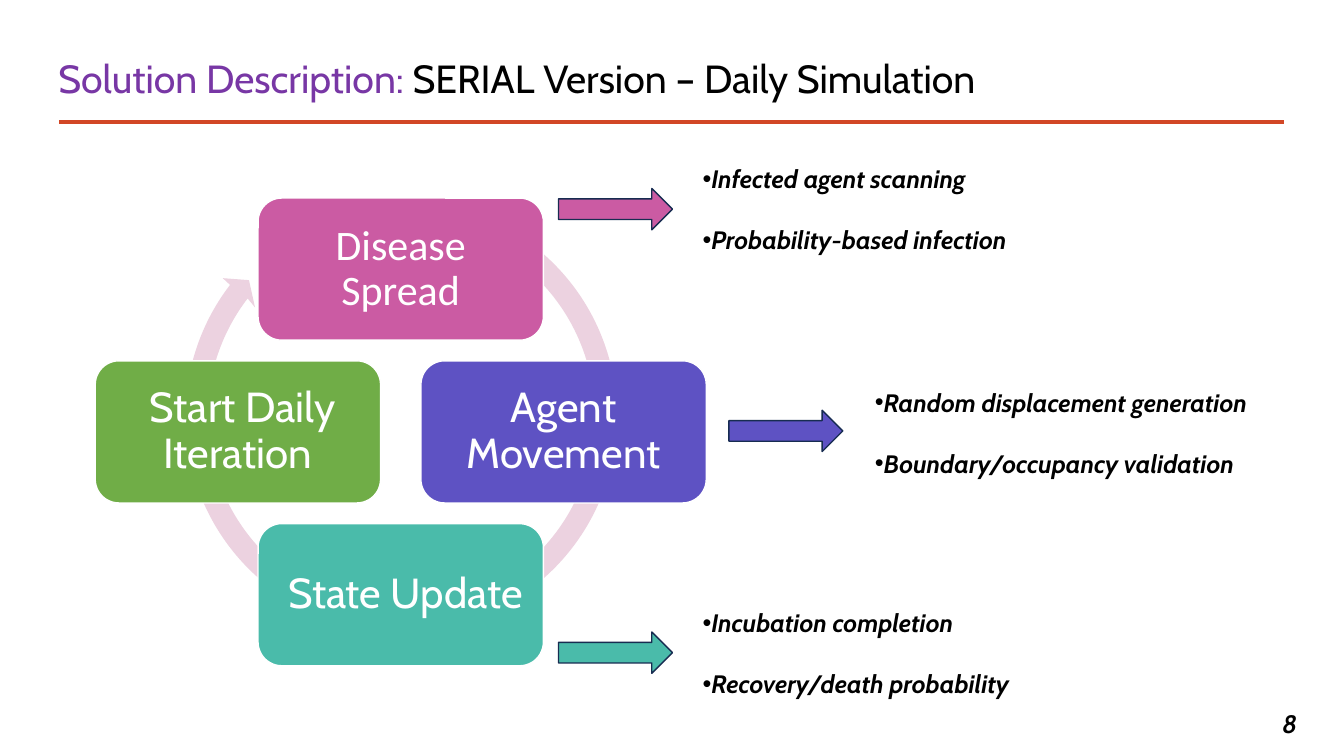
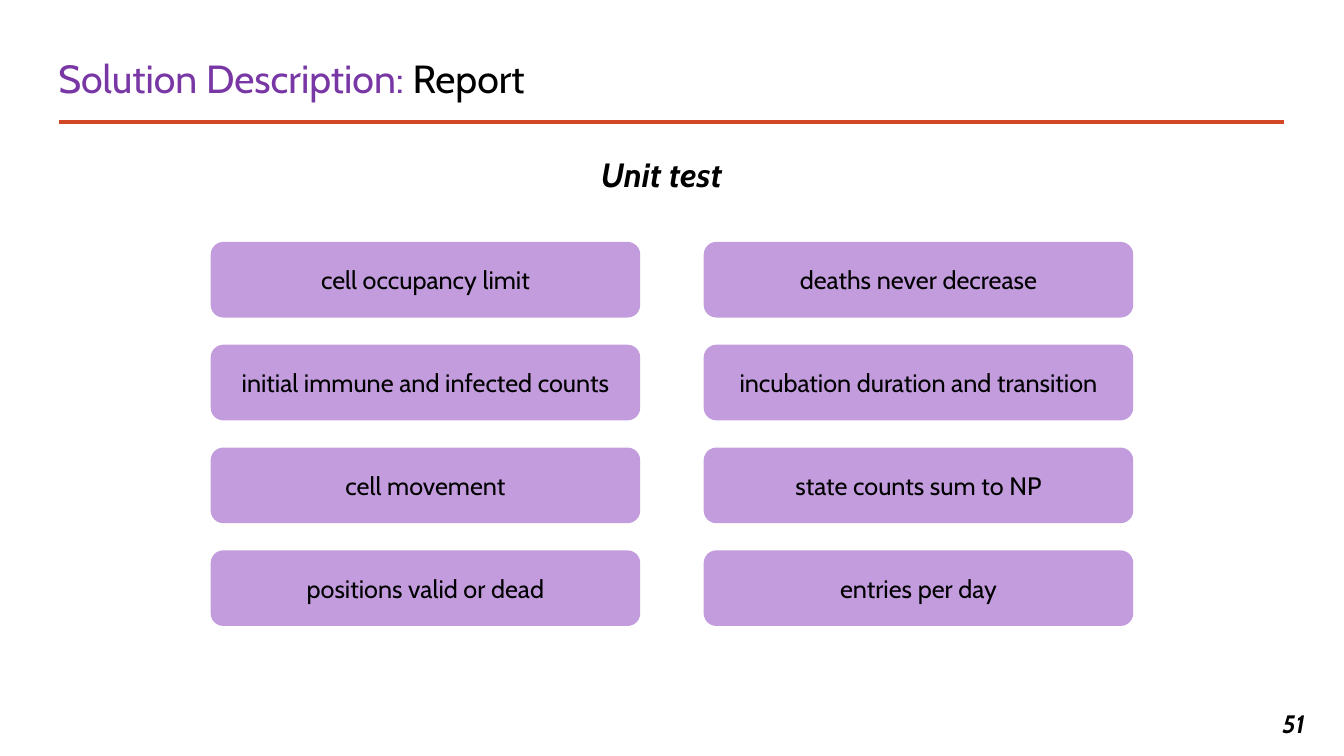
from math import cos, radians, sin, tan

from lxml.etree import SubElement
from pptx import Presentation
from pptx.dml.color import RGBColor
from pptx.enum.shapes import MSO_CONNECTOR, MSO_SHAPE
from pptx.enum.text import MSO_ANCHOR, PP_ALIGN
from pptx.oxml.ns import qn
from pptx.util import Inches, Pt

COLORS = {
    "rule": "D24726",
    "section": "7837A5",
    "ink": "000000",
    "white": "FFFFFF",
    "ring": "ECD2E0",
    "spread": "CB5BA3",
    "movement": "5E52C3",
    "update": "4ABBAA",
    "start": "70AD47",
    "arrow_edge": "172C51",
    "test": "C39CDE",
}
FONT = "Cabin"


def arc_points(center_x, center_y, radius, start, end, pieces=4):
    """Returns the first point of an arc, then three Bezier points per piece."""
    step = radians(end - start) / pieces
    reach = 4 / 3 * tan(step / 4)
    points = []
    for index in range(pieces + 1):
        angle = radians(start) + step * index
        x, y = cos(angle), sin(angle)
        knots = [(x + reach * y, y - reach * x), (x, y), (x - reach * y, y + reach * x)]
        points += [(center_x + radius * u, center_y + radius * v) for u, v in knots]
    return points[1:-1]


class Deck:
    """Holds the shared style and the slide being filled."""

    def __init__(self):
        self.presentation = Presentation()
        self.presentation.slide_width = Inches(13.33)
        self.presentation.slide_height = Inches(7.5)
        self.slide = None

    def color(self, name):
        return RGBColor.from_string(COLORS[name])

    def style_font(self, run, size, color="ink", name=FONT, emphasis=False):
        run.font.name = name
        run.font.size = Pt(size)
        run.font.color.rgb = self.color(color)
        run.font.bold = run.font.italic = emphasis

    def paint(self, shape, fill, edge=None, edge_width=1):
        shape.shadow.inherit = False
        if fill:
            shape.fill.solid()
            shape.fill.fore_color.rgb = self.color(fill)
        else:
            shape.fill.background()
        if edge:
            shape.line.color.rgb = self.color(edge)
            shape.line.width = Pt(edge_width)
        else:
            shape.line.fill.background()

    def preset(self, kind, left, top, width, height):
        return self.slide.shapes.add_shape(
            kind, Inches(left), Inches(top), Inches(width), Inches(height))

    def new_slide(self, topic, number):
        self.slide = self.presentation.slides.add_slide(self.presentation.slide_layouts[6])
        self.rule()
        self.title(topic)
        self.text(12.62, 6.98, 0.71, 0.4, [str(number)])

    def rule(self):
        line = self.slide.shapes.add_connector(
            MSO_CONNECTOR.STRAIGHT, Inches(0.59), Inches(1.21), Inches(12.74), Inches(1.21))
        line.line.color.rgb = self.color("rule")
        line.line.width = Pt(2.25)
        SubElement(line._element.spPr, qn("a:effectLst"))

    def title(self, topic):
        frame = self.slide.shapes.add_textbox(
            Inches(0.48), Inches(0.45), Inches(12.17), Inches(0.7)).text_frame
        frame.word_wrap = True
        frame.vertical_anchor = MSO_ANCHOR.MIDDLE
        heading = frame.paragraphs[0]
        heading.line_spacing = 0.9
        for words, color in (("Solution Description:", "section"), (f" {topic}", "ink")):
            run = heading.add_run()
            run.text = words
            self.style_font(run, 28, color)

    def text(self, left, top, width, height, lines, bulleted=False):
        """Adds bold italic lines, one paragraph each, with a line's gap between."""
        frame = self.slide.shapes.add_textbox(
            Inches(left), Inches(top), Inches(width), Inches(height)).text_frame
        frame.word_wrap = True
        frame.text = "\n".join(lines)
        for index, paragraph in enumerate(frame.paragraphs):
            if index:
                paragraph.space_before = Pt(22)
            if bulleted:
                properties = paragraph._p.get_or_add_pPr()
                SubElement(properties, qn("a:buFont"), typeface="Arial")
                SubElement(properties, qn("a:buChar"), char="•")
            self.style_font(paragraph.runs[0], 18, emphasis=True)

    def subtitle(self, words):
        banner = self.preset(MSO_SHAPE.RECTANGLE, 1.07, 1.48, 10.98, 0.5)
        self.paint(banner, None, "white", 0.75)
        frame = banner.text_frame
        frame.word_wrap = True
        frame.vertical_anchor = MSO_ANCHOR.TOP
        frame.text = words
        frame.paragraphs[0].alignment = PP_ALIGN.CENTER
        self.style_font(frame.paragraphs[0].runs[0], 24, emphasis=True)

    def card(self, left, top, width, height, label, fill, size, ink="ink",
             edge=None, font=FONT, spacing=1.0):
        card = self.preset(MSO_SHAPE.ROUNDED_RECTANGLE, left, top, width, height)
        self.paint(card, fill, edge)
        frame = card.text_frame
        frame.word_wrap = True
        frame.vertical_anchor = MSO_ANCHOR.MIDDLE
        frame.margin_left = frame.margin_right = Inches(0.11)
        frame.text = label
        paragraph = frame.paragraphs[0]
        paragraph.alignment = PP_ALIGN.CENTER
        paragraph.line_spacing = spacing
        self.style_font(paragraph.runs[0], size, ink, font)

    def arrow(self, left, top, fill):
        arrow = self.preset(MSO_SHAPE.RIGHT_ARROW, left, top, 1.13, 0.41)
        self.paint(arrow, fill, "arrow_edge")

    def cycle_ring(self):
        """Draws the open ring that runs clockwise and ends in an arrowhead."""
        center, start, end = (3.98, 4.13), -61.7, 217.5
        outer = arc_points(*center, 2.14, start, end)
        inner = arc_points(*center, 1.92, end, start)
        arrowhead = [(2.21, 2.76), (2.47, 2.78), (2.53, 3.05)]
        points = [(Inches(x), Inches(y)) for x, y in outer + arrowhead + inner]
        builder = self.slide.shapes.build_freeform(*points[0])
        builder.add_line_segments(points[1:], close=True)
        ring = builder.convert_to_shape()
        self.paint(ring, "ring")

        segments = list(ring._element.iter(qn("a:lnTo")))
        inner_start = len(outer) + len(arrowhead)
        for curved in (segments[:len(outer) - 1], segments[inner_start:]):
            self.join_curves(curved)

    @staticmethod
    def join_curves(segments):
        """Turns each run of three line segments into one Bezier segment."""
        for first, second, third in zip(segments[::3], segments[1::3], segments[2::3]):
            first.tag = qn("a:cubicBezTo")
            for extra in (second, third):
                first.append(extra[0])
                extra.getparent().remove(extra)


def build_daily_simulation(deck):
    deck.new_slide("SERIAL Version – Daily Simulation", 8)
    deck.cycle_ring()
    step = 1.615
    stages = [
        ("Disease Spread", "spread", 0, -1, "Calibri"),
        ("Agent Movement", "movement", 1, 0, FONT),
        (" State Update", "update", 0, 1, FONT),
        (" Start Daily Iteration", "start", -1, 0, FONT),
    ]
    for label, fill, column, row, font in stages:
        deck.card(2.56 + step * column, 3.58 + step * row, 2.83, 1.41, label, fill, 30,
                  ink="white", edge="white", font=font, spacing=0.9)

    details = [
        ("spread", 5.54, 6.87, 1.57,
         ["Infected agent scanning", "Probability-based infection"]),
        ("movement", 7.23, 8.58, 3.79,
         ["Random displacement generation", "Boundary/occupancy validation"]),
        ("update", 5.54, 6.87, 5.98,
         ["Incubation completion", "Recovery/death probability"]),
    ]
    for index, (stage, arrow_left, notes_left, notes_top, notes) in enumerate(details):
        deck.text(notes_left, notes_top, 4.7, 1.01, notes, bulleted=True)
        deck.arrow(arrow_left, 1.87 + 2.2 * index, stage)


def build_report(deck):
    deck.new_slide("Report", 51)
    deck.subtitle("Unit test")
    tests = [
        "cell occupancy limit", "deaths never decrease",
        "initial immune and infected counts", "incubation duration and transition",
        "cell movement", "state counts sum to NP",
        "positions valid or dead", "entries per day",
    ]
    for index, test in enumerate(tests):
        row, column = divmod(index, 2)
        deck.card(2.09 + 4.89 * column, 2.4 + 1.02 * row, 4.26, 0.75, test, "test", 18)


def main():
    deck = Deck()
    build_daily_simulation(deck)
    build_report(deck)
    deck.presentation.save("out.pptx")


if __name__ == "__main__":
    main()
